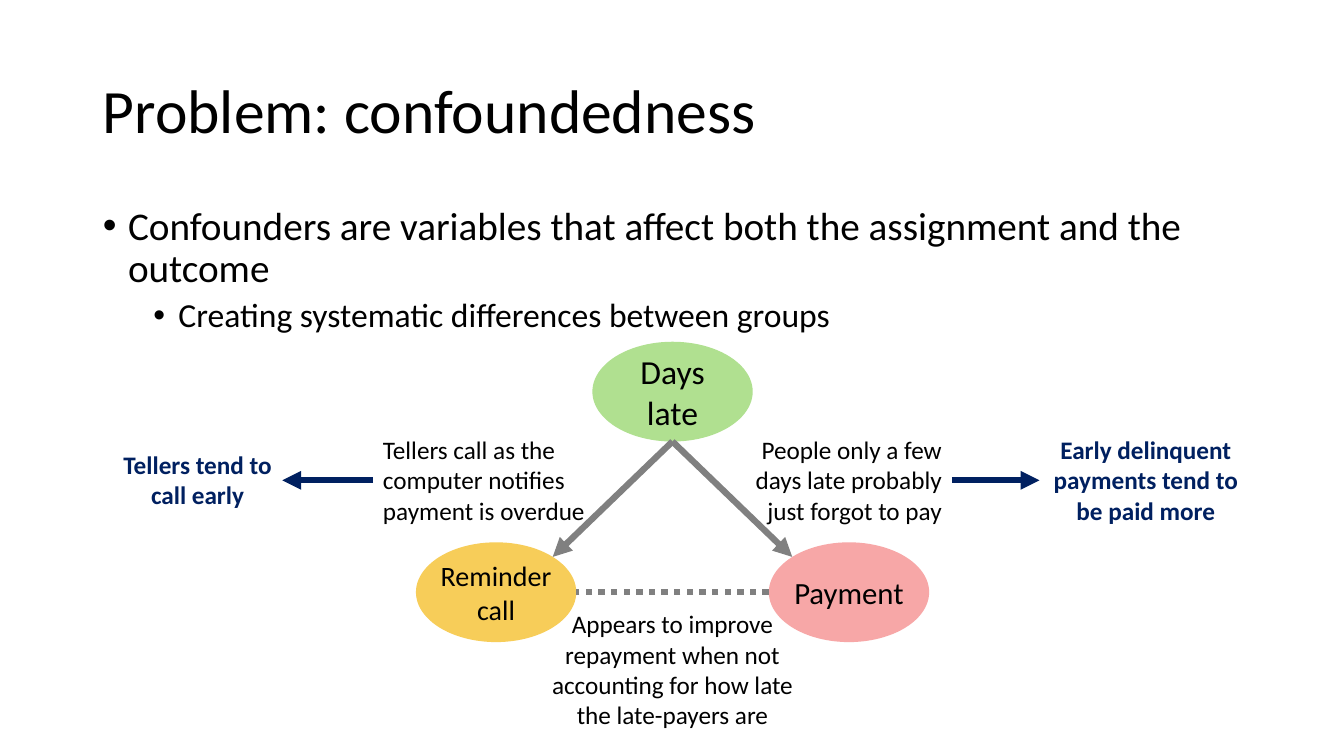
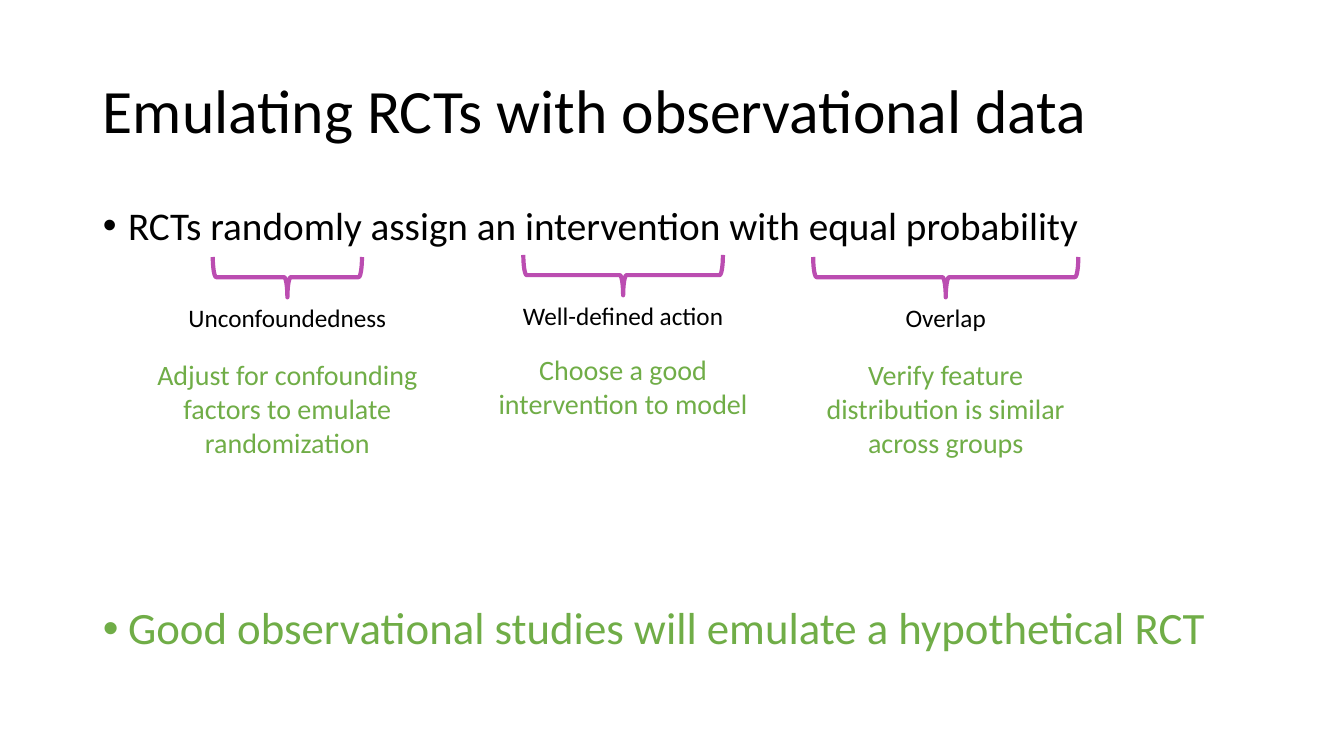
from dataclasses import dataclass
from math import sqrt

from lxml.etree import SubElement
from pptx import Presentation
from pptx.dml.color import RGBColor
from pptx.enum.dml import MSO_LINE
from pptx.enum.shapes import MSO_CONNECTOR, MSO_SHAPE
from pptx.enum.text import MSO_ANCHOR, MSO_AUTO_SIZE, PP_ALIGN
from pptx.oxml.ns import qn
from pptx.util import Inches, Pt


@dataclass(frozen=True)
class Theme:
    font: str = "Calibri"
    # Colours
    text: str = "000000"
    navy: str = "002060"
    grey: str = "808080"
    green: str = "70AD47"
    purple: str = "BB4DB1"
    lime: str = "B0E090"
    yellow: str = "F7CD59"
    pink: str = "F7A7A7"
    # Type sizes and line widths in points
    title: int = 44
    key: int = 32
    body: int = 28
    sub: int = 24
    note: int = 20
    label: int = 18
    arrow: float = 4.5
    brace: float = 3


T = Theme()
TITLE_BOX = (0.92, 0.4, 11.5, 1.45)
BODY_BOX = (0.92, 2, 11.5, 4.76)
DIAGRAM_BOX = (1.12, 3.39, 11.3, 3.91)
COLUMNS_BOX = (1.45, 2.55, 9.34, 2.06)


# Shared text and line helpers
def set_attrs(obj, values):
    for name, value in values.items():
        setattr(obj, name, value)


def write(p, text, size, color=T.text, bold=False):
    r = p.add_run()
    r.text = text
    set_attrs(r.font, {"name": T.font, "size": Pt(size), "bold": bold})
    r.font.color.rgb = RGBColor.from_string(color)


def place(sp, box):
    set_attrs(sp, dict(zip(("left", "top", "width", "height"), map(Inches, box))))


def add_text(slide, box, text, size=T.label, color=T.text, bold=False,
             align=PP_ALIGN.CENTER):
    sp = slide.shapes.add_textbox(*map(Inches, box))
    tf = sp.text_frame
    tf.word_wrap = True
    p = tf.paragraphs[0]
    p.alignment = align
    write(p, text, size, color, bold)
    return sp


def add_line(slide, start, end, color, arrow=True):
    line = slide.shapes.add_connector(MSO_CONNECTOR.STRAIGHT,
                                      *map(Inches, (*start, *end)))
    line.line.color.rgb = RGBColor.from_string(color)
    line.line.width = Pt(T.arrow)
    if arrow:
        SubElement(line.line._get_or_add_ln(), qn("a:tailEnd"), type="triangle")
    else:
        line.line.dash_style = MSO_LINE.ROUND_DOT
    SubElement(line._element.spPr, qn("a:effectLst"))
    return line


def join(slide, source, target, source_side, target_side):
    line = add_line(slide, (0, 0), (1, 0), T.navy)
    line.begin_connect(source, source_side)
    line.end_connect(target, target_side)


# Title and bulleted list
def add_bullet(p, text, size, color=T.text, level=0, before=0):
    set_attrs(p, {"level": level, "line_spacing": 0.9, "space_before": Pt(before),
                  "alignment": PP_ALIGN.LEFT})
    pPr = p._p.get_or_add_pPr()
    pPr.set("marL", str(Inches(0.25 + 0.5 * level)))
    pPr.set("indent", str(Inches(-0.25)))
    SubElement(pPr, qn("a:buFont"), typeface="Arial")
    SubElement(pPr, qn("a:buChar"), char="•")
    write(p, text, size, color)


def add_slide(prs, title, bullets):
    slide = prs.slides.add_slide(prs.slide_layouts[1])
    body = slide.placeholders[1]
    for sp, box, anchor in ((slide.shapes.title, TITLE_BOX, MSO_ANCHOR.MIDDLE),
                            (body, BODY_BOX, MSO_ANCHOR.TOP)):
        place(sp, box)
        set_attrs(sp.text_frame, {"vertical_anchor": anchor, "word_wrap": True,
                                  "auto_size": MSO_AUTO_SIZE.NONE})
    p = slide.shapes.title.text_frame.paragraphs[0]
    set_attrs(p, {"alignment": PP_ALIGN.LEFT, "line_spacing": 0.9})
    write(p, title, T.title)
    tf = body.text_frame
    for i, bullet in enumerate(bullets):
        add_bullet(tf.add_paragraph() if i else tf.paragraphs[0], **bullet)
    return slide


# Confounder diagram
def add_node(slide, box, text, size, color, inset):
    sp = slide.shapes.add_shape(MSO_SHAPE.OVAL, *map(Inches, box))
    sp.shadow.inherit = False
    sp.fill.solid()
    sp.fill.fore_color.rgb = RGBColor.from_string(color)
    sp.line.fill.background()
    tf = sp.text_frame
    set_attrs(tf, {"word_wrap": True, "vertical_anchor": MSO_ANCHOR.MIDDLE,
                   "margin_left": Inches(inset), "margin_right": Inches(inset)})
    p = tf.paragraphs[0]
    p.alignment = PP_ALIGN.CENTER
    write(p, text, size)


def add_diagram(slide, box):
    x, y, w, h = box
    node_w, node_h = 1.59, 0.99
    center, spread, drop = x + 5.55, 1.75, 1.99
    low_mid = y + drop + node_h / 2

    # Cause on top, assignment and outcome below
    for dx, dy, text, size, color, inset in (
            (-spread, drop, "Reminder call", T.note, T.yellow, 0),
            (spread, drop, "Payment", 22, T.pink, 0),
            (0, 0, "Days late", T.sub, T.lime, 0.1)):
        add_node(slide, (center + dx - node_w / 2, y + dy, node_w, node_h),
                 text, size, color, inset)

    # Arrows meet the lower ellipses at their diagonal points
    reach = spread - node_w / 2 / sqrt(2)
    for side in (-1, 1):
        add_line(slide, (center, y + node_h),
                 (center + side * reach, low_mid - node_h / 2 / sqrt(2)), T.grey)
    gap = spread - node_w / 2
    add_line(slide, (center + gap, low_mid), (center - gap, low_mid), T.grey,
             arrow=False)

    # Explanations beside and below the arrows
    why_call = add_text(slide, (x + 2.58, y + 0.87, 2.7, 1.01),
                        "Tellers call as the computer notifies payment is overdue",
                        align=PP_ALIGN.LEFT)
    why_pay = add_text(slide, (x + 5.94, y + 0.87, 2.38, 1.01),
                       "People only a few days late probably just forgot to pay",
                       align=PP_ALIGN.RIGHT)
    add_text(slide, (center - 1.3, y + h - 1.31, 2.6, 1.31),
             "Appears to improve repayment when not accounting for how late "
             "the late-payers are")

    # Consequences at the outer edges
    calls = add_text(slide, (x, y + 1.02, 1.68, 0.71),
                     "Tellers tend to call early", color=T.navy, bold=True)
    pays = add_text(slide, (x + w - 2.11, y + 0.87, 2.11, 1.01),
                    "Early delinquent payments tend to be paid more",
                    color=T.navy, bold=True)
    join(slide, why_call, calls, 1, 3)
    join(slide, why_pay, pays, 3, 1)


# Braced terms with a label and a remedy below
def add_column(slide, center, top, brace_w, label, remedy, remedy_dy):
    depth = 0.4
    sp = slide.shapes.add_shape(MSO_SHAPE.RIGHT_BRACE, *map(Inches, (
        center - depth / 2, top + (depth - brace_w) / 2, depth, brace_w)))
    sp.rotation = 90
    sp.shadow.inherit = False
    sp.fill.background()
    sp.line.color.rgb = RGBColor.from_string(T.purple)
    sp.line.width = Pt(T.brace)
    add_text(slide, (center - 1.12, top + depth, 2.24, 0.4), label)
    add_text(slide, (center - 1.4, top + remedy_dy, 2.8, 1.11), remedy,
             T.note, T.green)


def add_columns(slide, box):
    x, y = box[:2]
    for dx, dy, *column in (
            (1.4, 0, 1.48, "Unconfoundedness",
             "Adjust for confounding factors to emulate randomization", 0.95),
            (4.73, -0.02, 1.98, "Well-defined action",
             "Choose a good intervention to model", 0.92),
            (7.93, 0, 2.63, "Overlap",
             "Verify feature distribution is similar across groups", 0.95)):
        add_column(slide, x + dx, y + dy, *column)


def main():
    prs = Presentation()
    prs.slide_width, prs.slide_height = Inches(13.33), Inches(7.5)

    slide = add_slide(prs, "Problem: confoundedness", [
        {"text": "Confounders are variables that affect both the assignment "
                 "and the outcome", "size": T.body},
        {"text": "Creating systematic differences between groups",
         "size": T.sub, "level": 1, "before": 5}])
    add_diagram(slide, DIAGRAM_BOX)

    slide = add_slide(prs, "Emulating RCTs with observational data", [
        {"text": "RCTs randomly assign an intervention with equal probability",
         "size": T.body},
        {"text": "Good observational studies will emulate a hypothetical RCT",
         "size": T.key, "color": T.green, "before": 255}])
    add_columns(slide, COLUMNS_BOX)

    prs.save("out.pptx")


if __name__ == "__main__":
    main()
